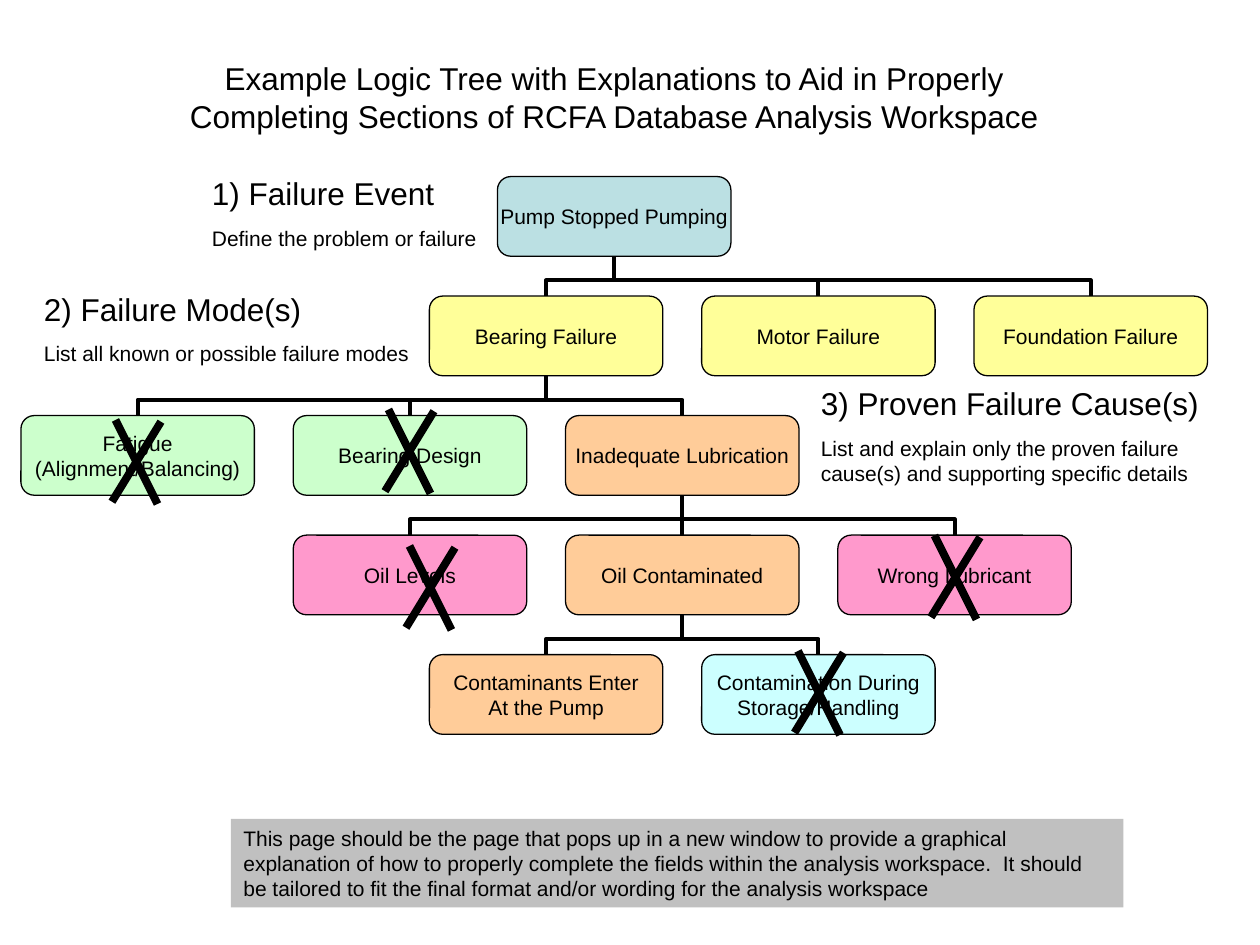
from dataclasses import dataclass

from lxml import etree
from pptx import Presentation
from pptx.dml.color import RGBColor
from pptx.enum import shapes, text
from pptx.oxml.ns import qn
from pptx.util import Pt


@dataclass(frozen=True)
class Theme:
    font: str = "Arial"
    heading: float = 18
    body: float = 12
    ink: str = "000000"
    event: str = "BBE0E3"
    mode: str = "FFFF99"
    ruled_out: str = "CCFFCC"
    proven: str = "FFCC99"
    lubricant: str = "FF99CC"
    handling: str = "CCFFFF"
    note: str = "C0C0C0"
    outline: float = 0.75
    branch: float = 2.25
    strike: float = 4.5


THEME = Theme()

BOX_W, BOX_H = 133.4, 45.5
TREE_LEFT, TREE_TOP = 12, 100.9
HALF_COLUMN, ROW_STEP = 77.8, 68.3

# text, parent, column in half steps, row, fill
TREE = [
    ("Pump Stopped Pumping", None, 3.5, 0, THEME.event),
    ("Bearing Failure", "Pump Stopped Pumping", 3, 1, THEME.mode),
    ("Motor Failure", "Pump Stopped Pumping", 5, 1, THEME.mode),
    ("Foundation Failure", "Pump Stopped Pumping", 7, 1, THEME.mode),
    ("Fatigue\n(Alignment/Balancing)", "Bearing Failure", 0, 2, THEME.ruled_out),
    ("Bearing Design", "Bearing Failure", 2, 2, THEME.ruled_out),
    ("Inadequate Lubrication", "Bearing Failure", 4, 2, THEME.proven),
    ("Oil Levels", "Inadequate Lubrication", 2, 3, THEME.lubricant),
    ("Oil Contaminated", "Inadequate Lubrication", 4, 3, THEME.proven),
    ("Wrong Lubricant", "Inadequate Lubrication", 6, 3, THEME.lubricant),
    ("Contaminants Enter\nAt the Pump", "Oil Contaminated", 3, 4, THEME.proven),
    ("Contamination During\nStorage/Handling", "Oil Contaminated", 5, 4, THEME.handling),
]

CROSSES = [(66, 240), (222, 234), (534, 306), (456, 372), (234, 312)]

# heading, explanation, left, top, width, height
STEPS = [
    ("1) Failure Event", "Define the problem or failure", 114, 96, 168, 51),
    ("2) Failure Mode(s)", "List all known or possible failure modes", 18, 162, 234, 51),
    ("3) Proven Failure Cause(s)",
     "List and explain only the proven failure cause(s) and supporting specific details",
     462, 216, 258, 65.5),
]


def set_format(target, values):
    for name, value in values.items():
        setattr(target, name, value)


def write(frame, lines, align, margins, anchor=text.MSO_ANCHOR.TOP, wrap=True):
    """Fill a text frame with (text, size, space before) lines."""
    side, top = margins
    set_format(frame, dict(
        margin_left=Pt(side), margin_right=Pt(side), margin_top=Pt(top),
        margin_bottom=Pt(top), vertical_anchor=anchor, word_wrap=wrap,
        auto_size=text.MSO_AUTO_SIZE.NONE))
    for index, (words, size, before) in enumerate(lines):
        paragraph = frame.add_paragraph() if index else frame.paragraphs[0]
        set_format(paragraph, dict(alignment=align, space_before=Pt(before)))
        run = paragraph.add_run()
        run.text = words
        set_format(run.font, dict(name=THEME.font, size=Pt(size)))
        run.font.color.rgb = RGBColor.from_string(THEME.ink)


def add_title(slide, words):
    title = slide.shapes.title
    set_format(title, dict(left=Pt(96), top=Pt(30), width=Pt(510), height=Pt(50.5)))
    write(title.text_frame, [(words, THEME.heading, 0)], text.PP_ALIGN.CENTER, (7.2, 3.6))


def add_filled(slide, kind, bounds, fill):
    shape = slide.shapes.add_shape(kind, *map(Pt, bounds))
    shape.shadow.inherit = False
    shape.fill.solid()
    shape.fill.fore_color.rgb = RGBColor.from_string(fill)
    return shape


def add_cause(slide, words, column, row, fill):
    bounds = (TREE_LEFT + column * HALF_COLUMN, TREE_TOP + row * ROW_STEP, BOX_W, BOX_H)
    cause = add_filled(slide, shapes.MSO_SHAPE.ROUNDED_RECTANGLE, bounds, fill)
    cause.line.color.rgb = RGBColor.from_string(THEME.ink)
    cause.line.width = Pt(THEME.outline)
    lines = [(line, THEME.body, 0) for line in words.split("\n")]
    write(cause.text_frame, lines, text.PP_ALIGN.CENTER, (3.6, 1.8),
          text.MSO_ANCHOR.MIDDLE, wrap=False)
    return cause


def add_line(slide, kind, ends, width):
    line = slide.shapes.add_connector(kind, *map(Pt, ends))
    line.line.color.rgb = RGBColor.from_string(THEME.ink)
    line.line.width = Pt(width)
    etree.SubElement(line._element.spPr, qn("a:effectLst"))
    return line


def add_branch(slide, child, parent):
    """Join a cause's top to its parent's bottom, turning elbows to run vertically."""
    offset = child.left - parent.left
    straight = abs(offset) < Pt(1)
    kind = shapes.MSO_CONNECTOR.STRAIGHT if straight else shapes.MSO_CONNECTOR.ELBOW
    branch = add_line(slide, kind, (0, 0, 0, 0), THEME.branch)
    branch.begin_connect(child, 0)
    branch.end_connect(parent, 2)
    if straight:
        return
    drop, span = branch.height, branch.width
    center_x, center_y = branch.left + span // 2, branch.top + drop // 2
    set_format(branch, dict(left=center_x - drop // 2, top=center_y - span // 2,
                            width=drop, height=span))
    properties = branch._element.spPr
    set_format(properties.xfrm, dict(rot=90 if offset < 0 else 270,
                                     flipH=offset < 0, flipV=True))
    adjustments = properties.find(qn("a:prstGeom")).find(qn("a:avLst"))
    etree.SubElement(adjustments, qn("a:gd"), name="adj1", fmla="val 39500")


def add_cross(slide, x, y):
    for ends in ((x, y, x + 24, y + 48), (x - 2, y + 46.7, x + 26, y + 1)):
        add_line(slide, shapes.MSO_CONNECTOR.STRAIGHT, ends, THEME.strike)


def add_step(slide, heading, explanation, *bounds):
    step = slide.shapes.add_textbox(*map(Pt, bounds))
    write(step.text_frame, [(heading, THEME.heading, 0), (explanation, THEME.body, 7.5)],
          text.PP_ALIGN.LEFT, (7.2, 3.6))


def add_note(slide, words):
    note = add_filled(slide, shapes.MSO_SHAPE.RECTANGLE, (132, 468, 510, 50.5), THEME.note)
    note.line.fill.background()
    write(note.text_frame, [(words, THEME.body, 0)], text.PP_ALIGN.LEFT, (7.2, 3.6))


def main():
    deck = Presentation()
    set_format(deck, dict(slide_width=Pt(720), slide_height=Pt(540)))
    slide = deck.slides.add_slide(deck.slide_layouts[5])
    add_title(slide, "Example Logic Tree with Explanations to Aid in Properly "
                     "Completing Sections of RCFA Database Analysis Workspace")
    causes = {}
    for words, parent, column, row, fill in TREE:
        causes[words] = add_cause(slide, words, column, row, fill)
        if parent:
            add_branch(slide, causes[words], causes[parent])
    for corner in CROSSES:
        add_cross(slide, *corner)
    for step in STEPS:
        add_step(slide, *step)
    add_note(slide, "This page should be the page that pops up in a new window to provide "
                    "a graphical explanation of how to properly complete the fields within "
                    "the analysis workspace.  It should be tailored to fit the final format "
                    "and/or wording for the analysis workspace")
    deck.save("out.pptx")


if __name__ == "__main__":
    main()
